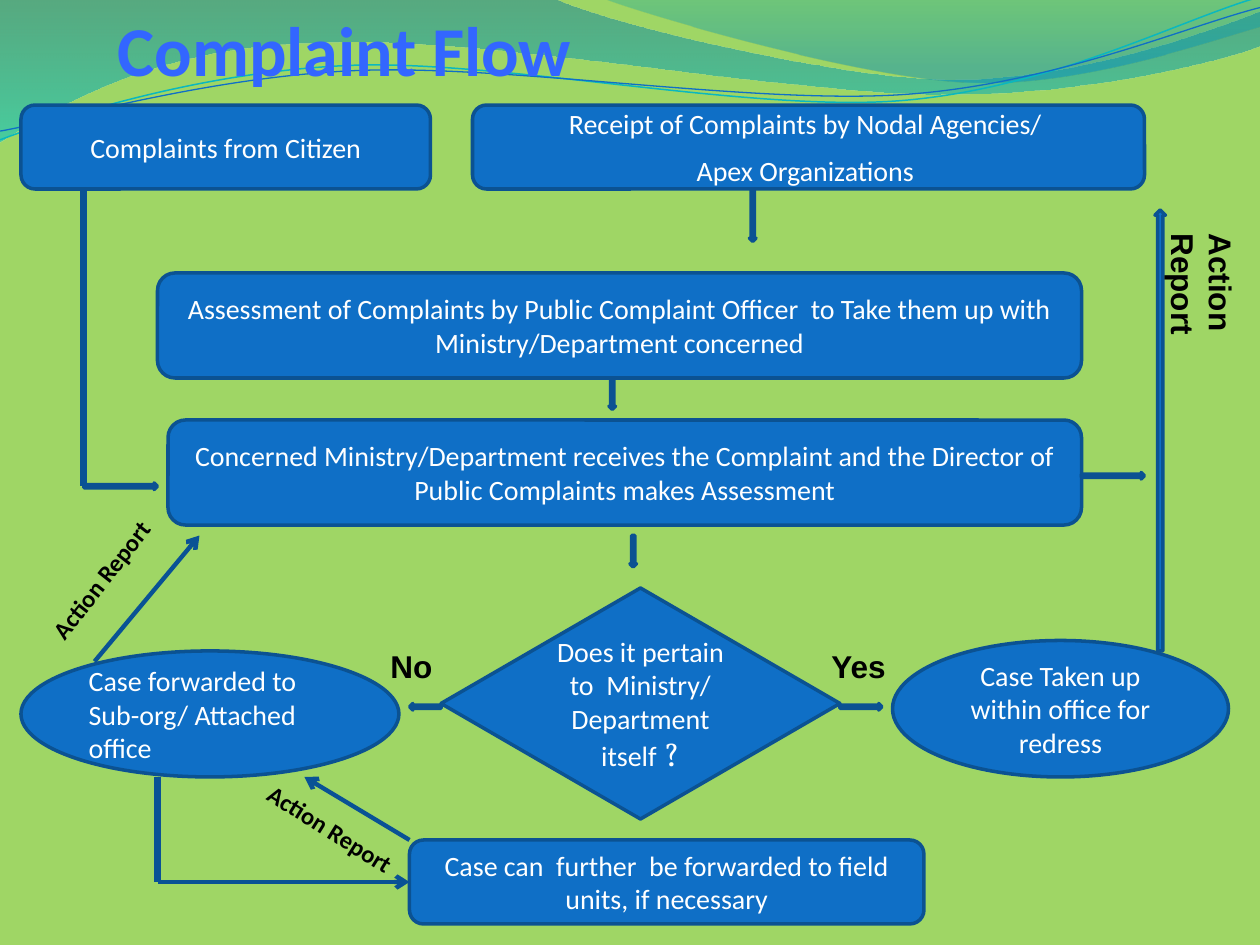
from math import cos, radians, sin

from lxml.etree import SubElement
from pptx import Presentation
from pptx.dml.color import RGBColor
from pptx.enum.shapes import MSO_CONNECTOR, MSO_SHAPE
from pptx.enum.text import MSO_ANCHOR, PP_ALIGN
from pptx.oxml.ns import qn
from pptx.util import Pt

BACKGROUND = RGBColor(0x9F, 0xD6, 0x65)
BLUE = RGBColor(0x0F, 0x6F, 0xC6)
OUTLINE = RGBColor(0x0B, 0x52, 0x92)
CONNECTOR = RGBColor(0x09, 0x52, 0x95)
AQUA = RGBColor(0x0A, 0xB8, 0xBF)
TITLE_BLUE = RGBColor(0x33, 0x66, 0xFF)
WHITE = RGBColor(0xFF, 0xFF, 0xFF)
BLACK = RGBColor(0, 0, 0)

# Wave paths: one pair is a straight step, three pairs are a Bezier curve.
BANDS = [
    ([[(0, -0.7)], [(316.8, -0.7)],
      [(342.7, 12.2), (478.1, 45.4), (545.8, 45.4)],
      [(614.2, 45.4), (689.8, 18.7), (720, 6.5)], [(720.7, 25.9)],
      [(707.8, 31.7), (626.4, 54.7), (537.1, 54)],
      [(447.8, 54), (275, 20.2), (185, 24.5)],
      [(92.9, 25.2), (33.1, 59.8), (-0.7, 81.4)]],
     [(0, RGBColor(0x00, 0x74, 0xA1), 45), (1, RGBColor(0x00, 0xC6, 0xCF), 55)]),
    ([[(344.9, -0.7)], [(366.5, 7.9), (491, 44.6), (553.7, 46.8)],
      [(616.3, 49.7), (691.9, 23), (720, 15.1)], [(720, 0)]],
     [(0, RGBColor(0x00, 0xA1, 0xA9), 30), (0.8, RGBColor(0x00, 0x8B, 0xBF), 45)]),
]
STRANDS = [
    ([[(0, 79.9)], [(34.6, 67), (113.8, 41), (199.4, 37.4)],
      [(283.7, 33.8), (427, 64.1), (513.4, 57.6)],
      [(599.8, 51.1), (675.4, 10.8), (718.6, -1.4)]], AQUA, 0.85),
    ([[(0, 74.9)], [(33.8, 69.1), (118.1, 43.9), (203.8, 40.3)],
      [(290.2, 36.7), (430, 59.8), (516.2, 54)],
      [(601.9, 48.2), (677.5, 15.1), (720, 4.3)]], BLUE, 0.75),
]
STRAND_CENTER = (359.3, 41.4)
STRAND_TILT = 2.7

ROUND, OVAL = MSO_SHAPE.ROUNDED_RECTANGLE, MSO_SHAPE.OVAL
CENTER, LEFT = PP_ALIGN.CENTER, PP_ALIGN.LEFT
STEPS = [  # preset, (left, top, width, height), alignment, paragraphs
    (ROUND, (12, 60, 234, 48), CENTER, ["Complaints from Citizen"]),
    (ROUND, (96, 240, 522, 60), CENTER,
     ["Concerned Ministry/Department receives the Complaint and the Director of "
      "Public Complaints makes Assessment"]),
    (ROUND, (270, 60, 384, 48), CENTER,
     ["Receipt of Complaints by Nodal Agencies/ ", "Apex Organizations "]),
    (ROUND, (90, 156, 528, 60), CENTER,
     ["Assessment of Complaints by Public Complaint Officer  to Take them up with "
      "Ministry/Department concerned"]),
    (MSO_SHAPE.DIAMOND, (252, 336, 228, 132), CENTER,
     ["Does it pertain to  Ministry/ Department itself "]),
    (ROUND, (234, 480, 294, 48), CENTER,
     ["Case can  further  be forwarded to field units, if necessary"]),
    (OVAL, (12, 372, 216, 72), LEFT, ["Case forwarded to Sub-org/ Attached office"]),
    (OVAL, (510, 366, 192, 78), CENTER, ["Case Taken up within office for redress"]),
]
RIGHT_ARROW, DOWN_ARROW = MSO_SHAPE.RIGHT_ARROW, MSO_SHAPE.DOWN_ARROW
THIN = 3.75
BLOCK_ARROWS = [
    (RIGHT_ARROW, (48, 276, 42, THIN)),
    (DOWN_ARROW, (428.25, 108, THIN, 30)),
    (DOWN_ARROW, (348, 216, THIN, 18)),
    (DOWN_ARROW, (360, 306, THIN, 18)),
    (RIGHT_ARROW, (480, 402, 24, THIN)),
    (MSO_SHAPE.LEFT_ARROW, (234, 402, 18, THIN)),
    (MSO_SHAPE.UP_ARROW, (660, 120, 6, 252)),
    (RIGHT_ARROW, (618, 270, 36, THIN)),
]
LINES = [  # start, end, width, arrowhead
    ((54, 378), (114, 306), 2.5, True),
    ((90, 444), (90, 504), 3.75, False),
    ((90, 504), (234, 504), 2.5, True),
    ((234, 480), (174, 444), 2.5, True),
    ((48, 108), (48, 278), 4, False),
]
BIG = {"name": "Arial", "size": Pt(18), "bold": True}
SMALL = {"name": "Calibri", "size": Pt(14), "bold": True}
LABELS = [  # text, place, rotation, font, left margin, right margin
    ("Action  Report", (617.5, 170, 138.5, 51), 90, BIG, 7.2, 18),
    ("Yes", (468, 366, 54, 29), 0, BIG, 7.2, 7.2),
    ("No", (216, 366, 42, 29), 0, BIG, 7.2, 7.2),
    ("Action Report", (129.6, 462.2, 120, 24.5), 32, SMALL, 18.5, 7.2),
    ("Action Report", (-1.4, 318.2, 120, 24.5), 308.1, SMALL, 18.5, 7.2),
]


def points(values):
    return [Pt(value) for value in values]


def write(para, text, font, color):
    span = para.add_run()
    span.text = text
    for key, value in font.items():
        setattr(span.font, key, value)
    span.font.color.rgb = color


def turn(point, center, degrees):
    x, y = point[0] - center[0], point[1] - center[1]
    cosine, sine = cos(radians(degrees)), sin(radians(degrees))
    return center[0] + x * cosine - y * sine, center[1] + x * sine + y * cosine


def add_wave(page, path, closed):
    """Draw the end points as a freeform, then bend its sides into Bezier curves."""
    start, *ends = [points(step[-1]) for step in path]
    builder = page.shapes.build_freeform(*start)
    builder.add_line_segments(ends, close=closed)
    wave = builder.convert_to_shape()
    wave.shadow.inherit = False
    sides = list(wave.element.spPr.iter(qn("a:lnTo")))
    for side, step in zip(sides, path[1:]):
        if len(step) == 1:
            continue
        curve = side.makeelement(qn("a:cubicBezTo"))
        for x, y in map(points, step):
            SubElement(curve, qn("a:pt"), x=str(x - wave.left), y=str(y - wave.top))
        side.getparent().replace(side, curve)
    return wave


def add_block(page, preset, place):
    block = page.shapes.add_shape(preset, *points(place))
    block.shadow.inherit = False
    block.fill.solid()
    block.fill.fore_color.rgb = BLUE
    block.line.color.rgb = OUTLINE
    block.line.width = Pt(2)
    return block


deck = Presentation()
deck.slide_width, deck.slide_height = points((720, 540))
page = deck.slides.add_slide(deck.slide_layouts[5])
page.background.fill.solid()
page.background.fill.fore_color.rgb = BACKGROUND

for path, stops in BANDS:
    band = add_wave(page, path, True)
    band.line.fill.background()
    band.fill.gradient()
    band.fill.gradient_angle = 270
    for stop, (position, color, _) in zip(band.fill.gradient_stops, stops):
        stop.position = position
        stop.color.rgb = color
    colors = band.element.spPr.iter(qn("a:srgbClr"))
    for element, (_, _, opacity) in zip(colors, stops):
        SubElement(element, qn("a:alpha"), val=str(opacity * 1000))

for path, color, width in STRANDS:
    level = [[turn(point, STRAND_CENTER, STRAND_TILT) for point in step] for step in path]
    strand = add_wave(page, level, False)
    strand.rotation = -STRAND_TILT
    strand.fill.background()
    strand.line.color.rgb = color
    strand.line.width = Pt(width)

for preset, place, alignment, texts in STEPS:
    frame = add_block(page, preset, place).text_frame
    frame.word_wrap = True
    frame.vertical_anchor = MSO_ANCHOR.MIDDLE
    for index, text in enumerate(texts):
        para = frame.add_paragraph() if index else frame.paragraphs[0]
        para.alignment = alignment
        para.space_before = Pt(8)
        write(para, text, {"name": "Calibri", "size": Pt(16)}, WHITE)
    if preset == MSO_SHAPE.DIAMOND:
        write(para, "?", {"name": "Vollkorn", "size": Pt(18)}, WHITE)

for preset, place in BLOCK_ARROWS:
    add_block(page, preset, place)

for start, end, width, arrowhead in LINES:
    line = page.shapes.add_connector(MSO_CONNECTOR.STRAIGHT, *points(start + end))
    line.line.color.rgb = CONNECTOR
    line.line.width = Pt(width)
    if arrowhead:
        SubElement(line.element.spPr.find(qn("a:ln")), qn("a:tailEnd"), type="arrow")
    SubElement(line.element.spPr, qn("a:effectLst"))

for text, place, rotation, font, left, right in LABELS:
    label = page.shapes.add_textbox(*points(place))
    label.rotation = rotation
    frame = label.text_frame
    frame.word_wrap = True
    frame.margin_left, frame.margin_right = points((left, right))
    para = frame.paragraphs[0]
    para.space_before = font["size"] // 2
    write(para, text, font, BLACK)

title = page.shapes.title
title.left, title.top, title.width, title.height = points((60, 0, 288, 55.7))
title.text_frame.vertical_anchor = MSO_ANCHOR.TOP
para = title.text_frame.paragraphs[0]
para.alignment = LEFT
write(para, "Complaint Flow", {"name": "Calibri", "size": Pt(40), "bold": True}, TITLE_BLUE)
title.element.getparent().append(title.element)  # in front of the waves

deck.save("out.pptx")
